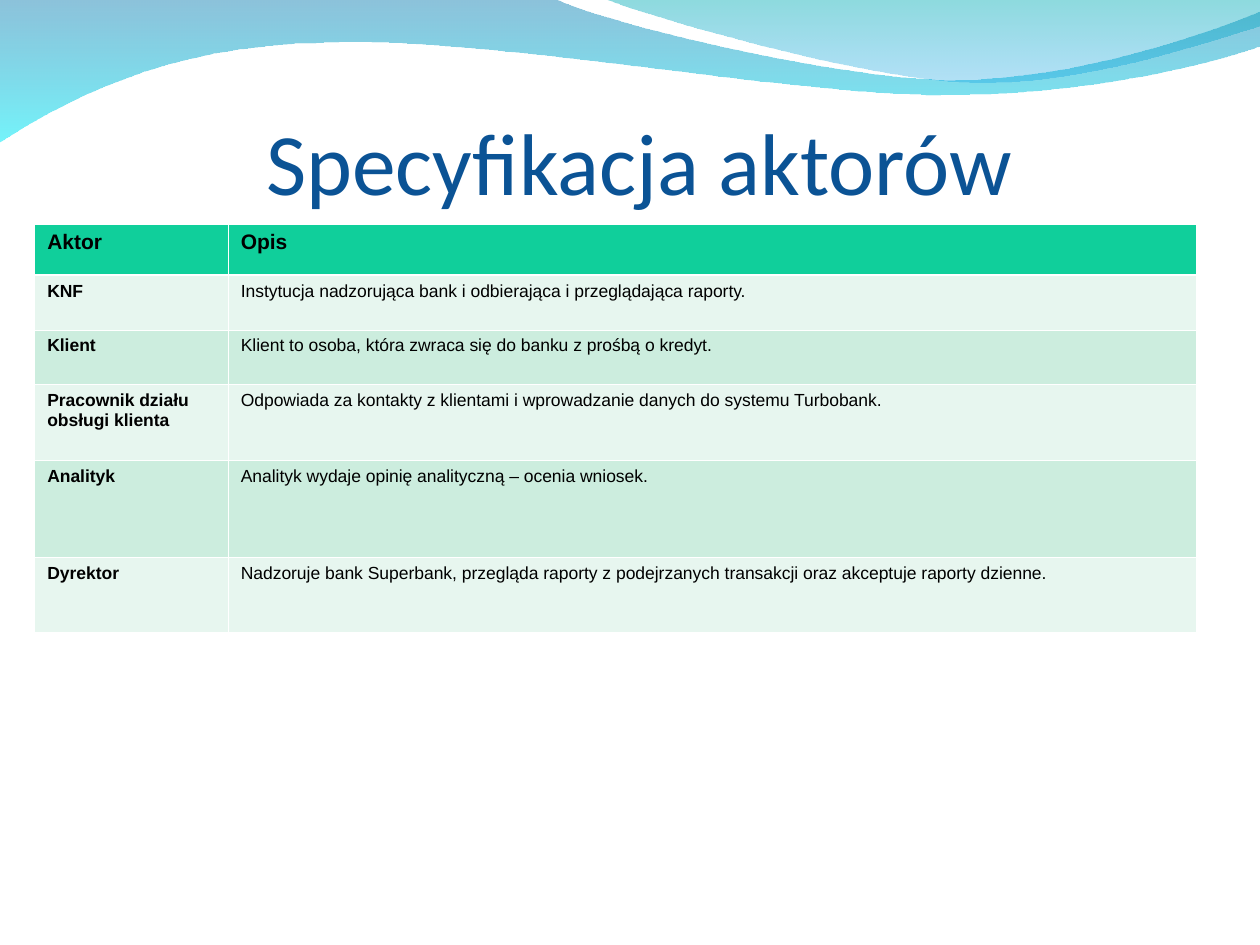
from lxml.etree import SubElement
from pptx import Presentation
from pptx.dml.color import RGBColor
from pptx.enum.text import MSO_ANCHOR, PP_ALIGN
from pptx.oxml.ns import qn
from pptx.util import Cm, Pt

TITLE = "Specyfikacja aktorów"
ROWS = [
    ("Aktor", "Opis"),
    ("KNF", "Instytucja nadzorująca bank i odbierająca i przeglądająca raporty."),
    ("Klient", "Klient to osoba, która zwraca się do banku z prośbą o kredyt."),
    ("Pracownik działu obsługi klienta",
     "Odpowiada za kontakty z klientami i wprowadzanie danych do systemu Turbobank."),
    ("Analityk", "Analityk wydaje opinię analityczną – ocenia wniosek."),
    ("Dyrektor", "Nadzoruje bank Superbank, przegląda raporty z podejrzanych transakcji "
                 "oraz akceptuje raporty dzienne."),
]
COLUMN_WIDTHS = [3.9, 19.51]
ROW_HEIGHTS = [1.03, 1.1, 1.1, 1.53, 1.96, 1.51]
HEADER_FILL = "10CF9B"
BAND_FILLS = ["CCEDDE", "E7F6EF"]

WAVES = [
    {
        "start": (0, -0.03),
        "segments": [
            [(11.18, -0.03)],
            [(12.09, 0.43), (16.87, 1.6), (19.25, 1.6)],
            [(21.67, 1.6), (24.33, 0.66), (25.4, 0.23)],
            [(25.43, 0.91)],
            [(24.97, 1.12), (22.1, 1.93), (18.95, 1.91)],
            [(15.8, 1.91), (9.7, 0.71), (6.53, 0.86)],
            [(3.28, 0.89), (1.17, 2.11), (-0.03, 2.87)],
        ],
        "stops": [("0079AF", 45), ("00EBF8", 55)],
    },
    {
        "start": (12.17, -0.03),
        "segments": [
            [(12.93, 0.28), (17.32, 1.57), (19.53, 1.65)],
            [(21.74, 1.75), (24.41, 0.81), (25.4, 0.53)],
            [(25.4, 0)],
        ],
        "stops": [("00ADB6", 45), ("009BE5", 30)],
    },
]


def color(value):
    """Turn a hex string into a colour."""
    return RGBColor.from_string(value)


def bend_outline(shape, segments):
    """Join each run of three line steps into one cubic curve."""
    outline = next(shape._element.iter(qn("a:path")))
    steps = iter(outline.findall(qn("a:lnTo")))
    for segment in segments:
        parts = [next(steps) for _ in segment]
        if len(parts) == 3:
            curve = outline.makeelement(qn("a:cubicBezTo"), {})
            parts[0].addprevious(curve)
            for part in parts:
                curve.append(part[0])
                outline.remove(part)


def add_wave(page, wave):
    """Draw one translucent gradient wave."""
    points = [wave["start"]] + [point for segment in wave["segments"] for point in segment]
    outline = [(Cm(x), Cm(y)) for x, y in points]
    builder = page.shapes.build_freeform(*outline[0])
    builder.add_line_segments(outline[1:], close=True)
    shape = builder.convert_to_shape()
    bend_outline(shape, wave["segments"])
    shape.shadow.inherit = False
    shape.line.fill.background()
    shape.fill.gradient()
    shape.fill.gradient_angle = 270
    elements = shape._element.iter(qn("a:gs"))
    for stop, element, (tint, opacity) in zip(
            shape.fill.gradient_stops, elements, wave["stops"]):
        stop.color.rgb = color(tint)
        SubElement(element[0], qn("a:alpha"), val=str(opacity * 1000))


def add_title(page):
    """Place the slide title."""
    box = page.shapes.add_textbox(Cm(2.1), Cm(0.31), Cm(21.59), Cm(3.99))
    frame = box.text_frame
    frame.word_wrap = True
    frame.vertical_anchor = MSO_ANCHOR.BOTTOM
    frame.margin_left = frame.margin_right = frame.margin_bottom = 0
    paragraph = frame.paragraphs[0]
    paragraph.text = TITLE
    paragraph.alignment = PP_ALIGN.CENTER
    paragraph.font.size = Pt(50)
    paragraph.font.name = "Calibri"
    paragraph.font.color.rgb = color("0B5395")


def add_borders(cell, row):
    """Give a cell white borders, thicker under the header."""
    thick = {0: "lnB", 1: "lnT"}.get(row)
    properties = cell._tc.get_or_add_tcPr()
    for index, side in enumerate(("lnL", "lnR", "lnT", "lnB")):
        width = Pt(1.47 if side == thick else 0.45)
        line = properties.makeelement(qn("a:" + side), {"w": str(int(width))})
        properties.insert(index, line)
        SubElement(SubElement(line, qn("a:solidFill")), qn("a:srgbClr"), val="FFFFFF")


def add_actor_table(page):
    """Build the table of actors."""
    table = page.shapes.add_table(
        len(ROWS), len(COLUMN_WIDTHS), Cm(0.7), Cm(4.52),
        Cm(sum(COLUMN_WIDTHS)), Cm(sum(ROW_HEIGHTS))).table
    for column, width in zip(table.columns, COLUMN_WIDTHS):
        column.width = Cm(width)
    for row, (texts, height) in enumerate(zip(ROWS, ROW_HEIGHTS)):
        table.rows[row].height = Cm(height)
        for column, text in enumerate(texts):
            cell = table.cell(row, column)
            cell.fill.solid()
            cell.fill.fore_color.rgb = color(BAND_FILLS[row % 2] if row else HEADER_FILL)
            add_borders(cell, row)
            paragraph = cell.text_frame.paragraphs[0]
            paragraph.text = text
            paragraph.font.name = "Arial"
            paragraph.font.size = Pt(10 if row else 12)
            paragraph.font.bold = row == 0 or column == 0
            paragraph.font.color.rgb = color("000000")


def main():
    """Build and save the deck."""
    deck = Presentation()
    deck.slide_width, deck.slide_height = Cm(25.4), Cm(19.05)
    page = deck.slides.add_slide(deck.slide_layouts[6])
    for wave in WAVES:
        add_wave(page, wave)
    add_title(page)
    add_actor_table(page)
    deck.save("out.pptx")


if __name__ == "__main__":
    main()
